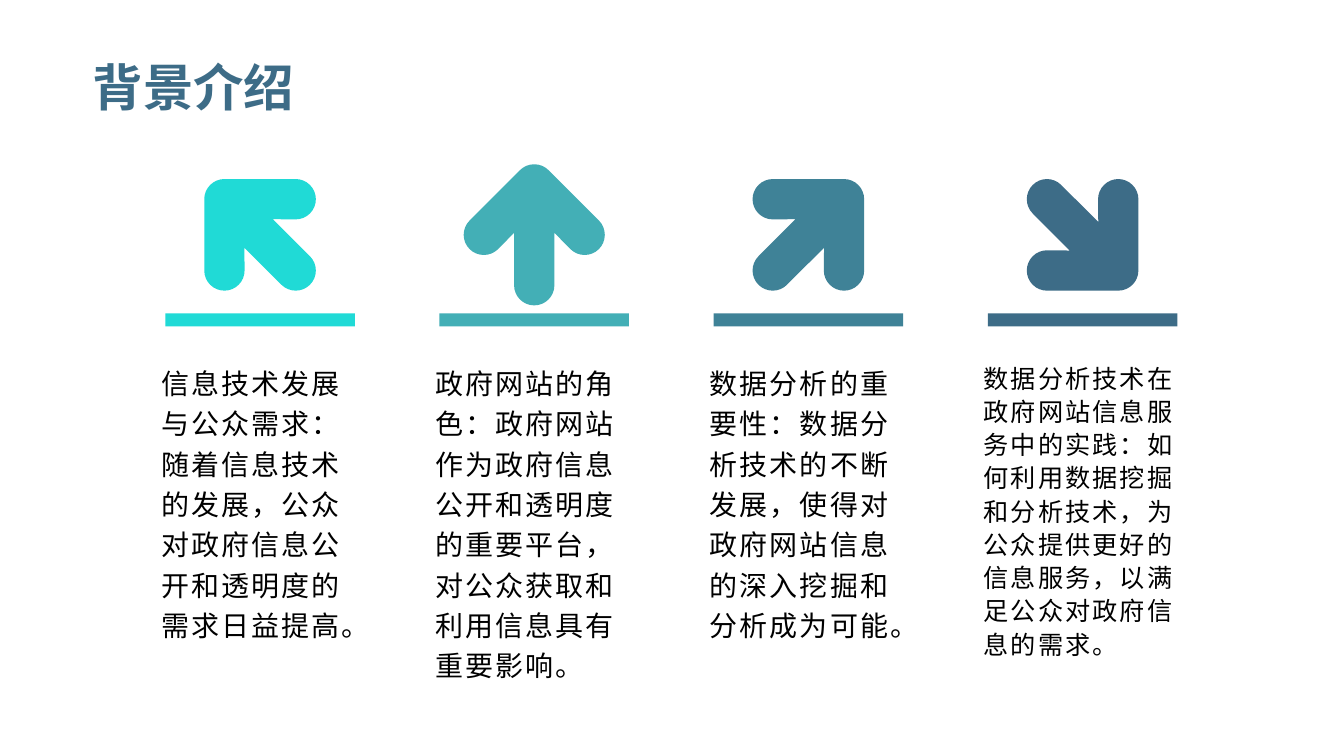
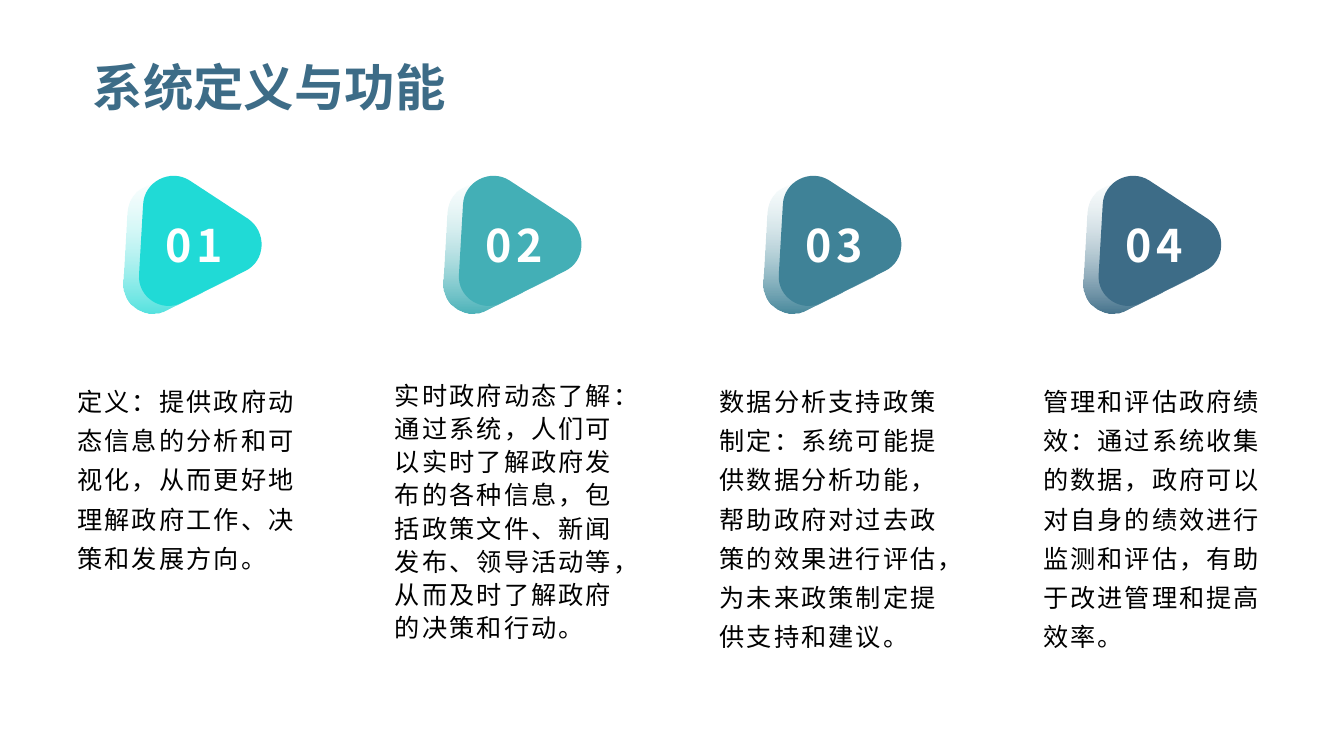
from math import cos, radians, sin, tan

from pptx import Presentation
from pptx.dml.color import RGBColor
from pptx.enum.shapes import MSO_SHAPE
from pptx.enum.text import MSO_ANCHOR, MSO_AUTO_SIZE, PP_ALIGN
from pptx.oxml.ns import qn
from pptx.util import Inches, Pt

RECTANGLE = MSO_SHAPE.RECTANGLE
MIDDLE = MSO_ANCHOR.MIDDLE
LEFT, CENTER = PP_ALIGN.LEFT, PP_ALIGN.CENTER
NO_AUTOFIT = MSO_AUTO_SIZE.NONE

COLORS = {
    "title": "3D6C87",
    "text": "000000",
    "number": "FFFFFF",
    "pale": "F4FDFD",
}
ACCENTS = ["20DAD6", "43AFB6", "3F8297", "3D6C87"]
TITLE_FONT = "Arial"
BODY_FONT = "Noto Sans CJK SC"

ARROW_PITCH = 2.72
TO_LEFT, TO_RIGHT = -1, 1
ARROW_TURNS = [(TO_LEFT, 45), (TO_LEFT, 90), (TO_RIGHT, 315), (TO_RIGHT, 45)]
BACKGROUND_TEXTS = [
    ("信息技术发展与公众需求：随着信息技术的发展，公众对政府信息公开和透明度的需求日益提高。", 20, 1.2),
    ("政府网站的角色：政府网站作为政府信息公开和透明度的重要平台，对公众获取和利用信息具有重要影响。", 20, 1.2),
    ("数据分析的重要性：数据分析技术的不断发展，使得对政府网站信息的深入挖掘和分析成为可能。", 20, 1.2),
    ("数据分析技术在政府网站信息服务中的实践：如何利用数据挖掘和分析技术，为公众提供更好的信息服务，以满足公众对政府信息的需求。", 18, 1.1),
]

BADGE_PITCH = 9.52 / 3
BADGE_ALPHAS = [80, 100, 100, 100]
BADGE_OUTLINE = [
    [(0.06, 0.36)],
    [(0.02, 1.05)],
    [(0, 1.28), (0.25, 1.44), (0.45, 1.33)],
    [(1.07, 1.02)],
    [(1.28, 0.92), (1.29, 0.63), (1.1, 0.5)],
    [(0.52, 0.12)],
    [(0.33, 0), (0.07, 0.13), (0.06, 0.36)],
]
FUNCTION_TEXTS = [
    (0.67, "定义：提供政府动态信息的分析和可视化，从而更好地理解政府工作、决策和发展方向。", 1.3),
    (3.82, "实时政府动态了解：通过系统，人们可以实时了解政府发布的各种信息，包括政策文件、新闻发布、领导活动等，从而及时了解政府的决策和行动。", 1.1),
    (7.04, "数据分析支持政策制定：系统可能提供数据分析功能，帮助政府对过去政策的效果进行评估，为未来政策制定提供支持和建议。", 1.3),
    (10.25, "管理和评估政府绩效：通过系统收集的数据，政府可以对自身的绩效进行监测和评估，有助于改进管理和提高效率。", 1.3),
]


def rgb(color):
    return RGBColor.from_string(color)


def style_paragraph(para, size, color, name=BODY_FONT, bold=False, spacing=0):
    font = para.font
    font.name, font.size, font.bold = name, Pt(size), bold
    font.color.rgb = rgb(color)
    properties = para._p.pPr.find(qn("a:defRPr"))
    properties.set("lang", "zh-CN")
    properties.set("spc", str(int(spacing * 100)))
    latin = properties.find(qn("a:latin"))
    latin.addnext(latin.makeelement(qn("a:ea"), {"typeface": BODY_FONT}))


def set_insets(frame, left, top, right, bottom):
    frame.margin_left, frame.margin_top = Inches(left), Inches(top)
    frame.margin_right, frame.margin_bottom = Inches(right), Inches(bottom)


def add_text(page, box, text, size, line_spacing=1.0, color=COLORS["text"],
             bold=False, spacing=1.5):
    frame = page.shapes.add_textbox(*map(Inches, box)).text_frame
    frame.word_wrap = True
    para = frame.paragraphs[0]
    para.text = text
    para.line_spacing = line_spacing
    style_paragraph(para, size, color, bold=bold, spacing=spacing)
    return frame


def add_page(deck, layout, title):
    page = deck.slides.add_slide(layout)
    frame = page.shapes.title.text_frame
    frame.auto_size = NO_AUTOFIT
    frame.vertical_anchor = MIDDLE
    set_insets(frame, 0, 0, 0, 0)
    para = frame.paragraphs[0]
    para.text = title
    para.alignment = LEFT
    style_paragraph(para, 36, COLORS["title"], TITLE_FONT, bold=True)
    return page


def paint(shape, color):
    shape.shadow.inherit = False
    shape.line.fill.background()
    shape.fill.solid()
    shape.fill.fore_color.rgb = rgb(color)


def fade(shape, color, alpha):
    shape.shadow.inherit = False
    shape.line.fill.background()
    shape.fill.gradient()
    shape.fill.gradient_angle = 270
    for stop, stop_color in zip(shape.fill.gradient_stops, (COLORS["pale"], color)):
        stop.color.rgb = rgb(stop_color)
    gradient = shape._element.spPr.find(qn("a:gradFill"))
    for node, opacity in zip(gradient.iter(qn("a:srgbClr")), (30, alpha)):
        node.append(node.makeelement(qn("a:alpha"), {"val": str(opacity * 1000)}))


def add_outline(page, segments, left, top):
    points = [(Inches(left + x), Inches(top + y)) for segment in segments for x, y in segment]
    builder = page.shapes.build_freeform(*points[0], scale=1.0)
    builder.add_line_segments(points[1:], close=True)
    shape = builder.convert_to_shape()
    lines = iter(list(shape._element.spPr.iter(qn("a:lnTo"))))
    for segment in segments[1:]:
        nodes = [next(lines) for _ in segment]
        if len(nodes) == 3:
            bezier = nodes[0].makeelement(qn("a:cubicBezTo"), {})
            nodes[0].addprevious(bezier)
            for node in nodes:
                bezier.append(node[0])
                node.getparent().remove(node)
    return shape


def arc(x, y, *stops, radius=0.2):
    def place(angle, reach=0):
        turn = radians(angle)
        return (x + radius * (cos(turn) - reach * sin(turn)),
                y + radius * (sin(turn) + reach * cos(turn)))

    segments = [[place(stops[0])]]
    for start, end in zip(stops, stops[1:]):
        reach = 4 / 3 * tan(radians(end - start) / 4)
        segments.append([place(start, reach), place(end, -reach), place(end)])
    return segments


def arrow_outline(turn):
    upright = (arc(0, -0.5, -135, -90, -45) + arc(0.5, 0, -45, 0, 90, 135)
               + [[(0.2, -0.02)]] + arc(0, 0.5, 0, 90, 180)
               + [[(-0.2, -0.02)]] + arc(-0.5, 0, 45, 90, 180, 225))
    return [[(-y * turn, x * turn) for x, y in segment] for segment in upright]


def add_arrow_column(page, left, top, turns, color, text, size, line_spacing):
    turn, rotation = turns
    arrow = add_outline(page, arrow_outline(turn), left + 1.08, top + 0.7)
    arrow.rotation = rotation
    paint(arrow, color)
    frame = add_text(page, (left, top + 1.89, 2.17, 3.31), text, size, line_spacing)
    frame.paragraphs[0].space_after = Pt(8)
    bar_box = (left + 0.14, top + 1.48, 1.88, 0.13)
    paint(page.shapes.add_shape(RECTANGLE, *map(Inches, bar_box)), color)


def add_badge(page, left, top, number, color, alpha):
    fade(add_outline(page, BADGE_OUTLINE, left, top + 0.08), color, alpha)
    paint(add_outline(page, BADGE_OUTLINE, left + 0.15, top), color)
    frame = add_text(page, (left + 0.32, top + 0.41, 0.8, 0.7), f"{number:02d}", 32,
                     color=COLORS["number"], bold=True, spacing=3)
    frame.vertical_anchor = MIDDLE
    frame.paragraphs[0].alignment = CENTER
    set_insets(frame, 0, 0, 0, 0)


def build_background(deck, layout):
    page = add_page(deck, layout, "背景介绍")
    columns = zip(ARROW_TURNS, ACCENTS, BACKGROUND_TEXTS)
    for index, (turns, color, content) in enumerate(columns):
        add_arrow_column(page, 1.5 + index * ARROW_PITCH, 1.63, turns, color, *content)


def build_functions(deck, layout):
    page = add_page(deck, layout, "系统定义与功能")
    for index, (color, alpha) in enumerate(zip(ACCENTS, BADGE_ALPHAS)):
        add_badge(page, 1.21 + index * BADGE_PITCH, 1.67, index + 1, color, alpha)
    for left, text, line_spacing in FUNCTION_TEXTS:
        frame = add_text(page, (left, 3.69, 2.41, 3.11), text, 18, line_spacing)
        set_insets(frame, 0.1, 0.05, 0, 0.05)


def main():
    deck = Presentation()
    deck.slide_width, deck.slide_height = Inches(40 / 3), Inches(7.5)
    layout = deck.slide_layouts[5]
    title = layout.placeholders[0]
    title.left, title.top = Inches(0.92), Inches(0.39)
    title.width, title.height = Inches(11.5), Inches(0.94)
    build_background(deck, layout)
    build_functions(deck, layout)
    deck.save("out.pptx")


if __name__ == "__main__":
    main()
